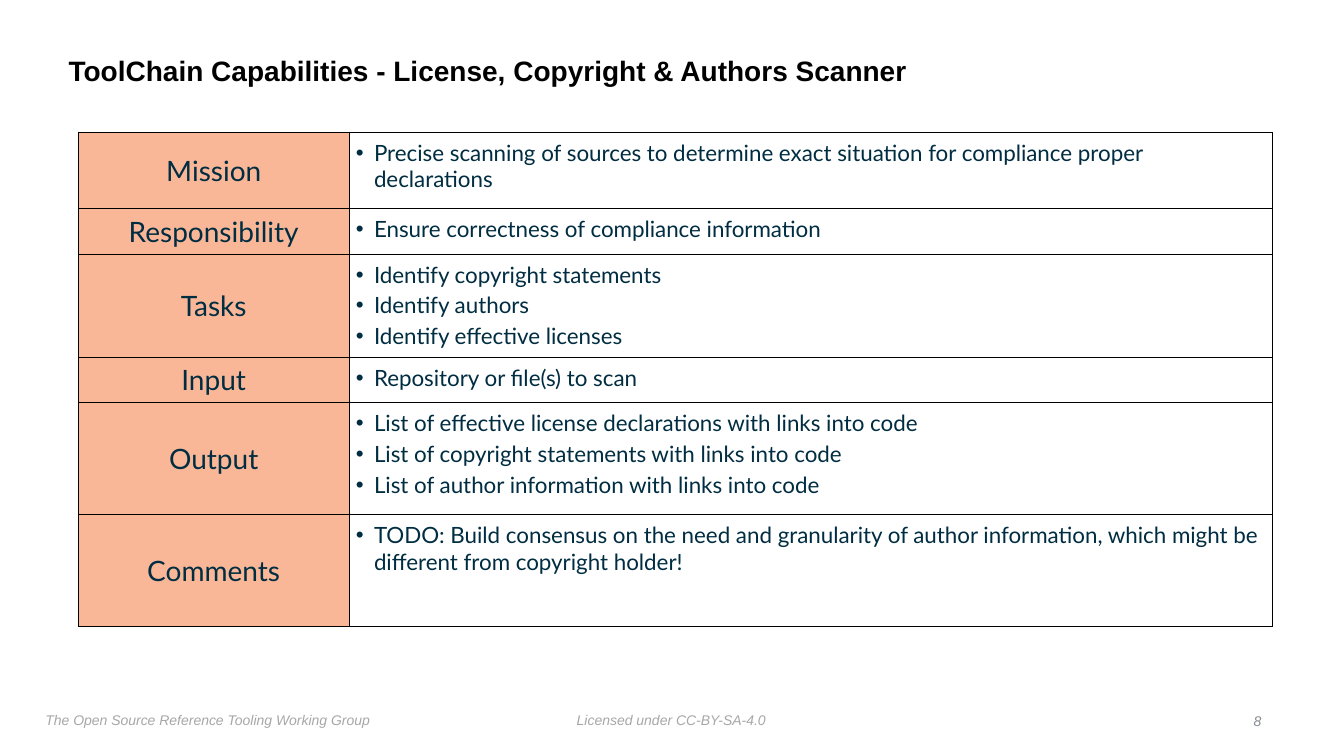
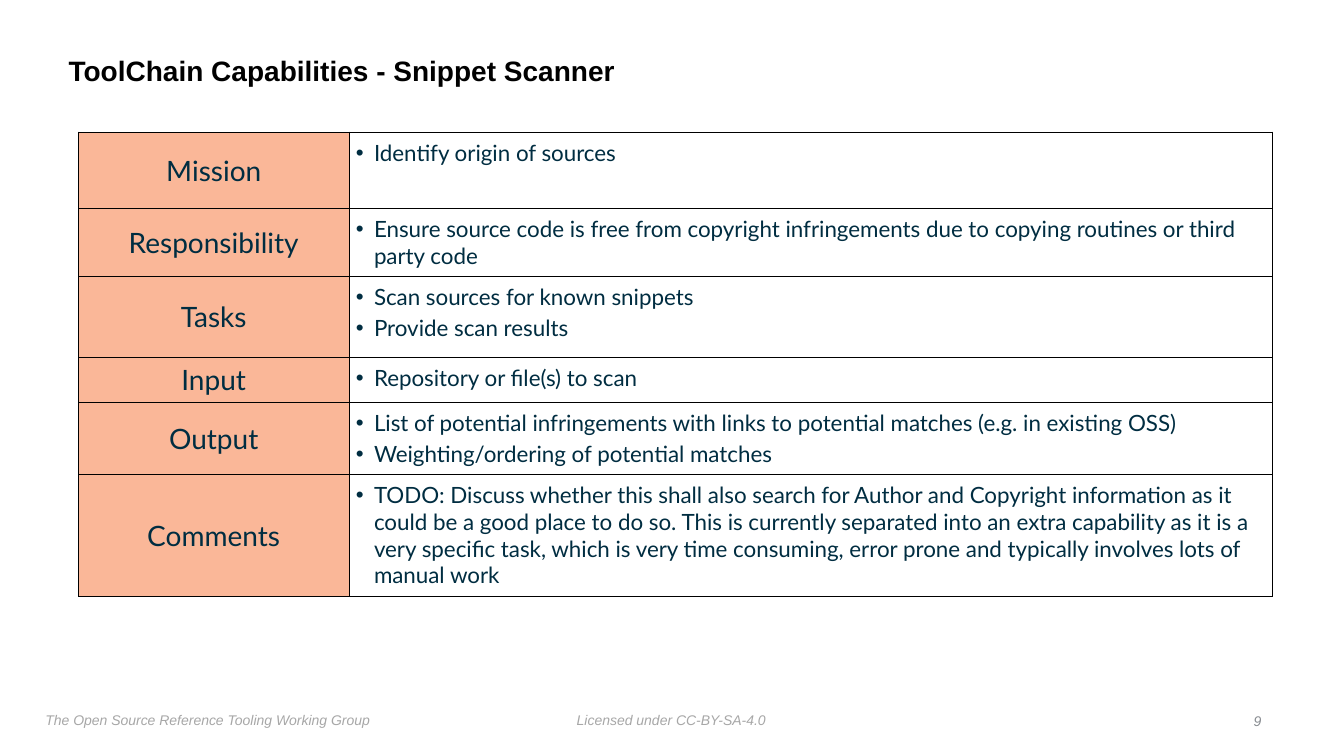
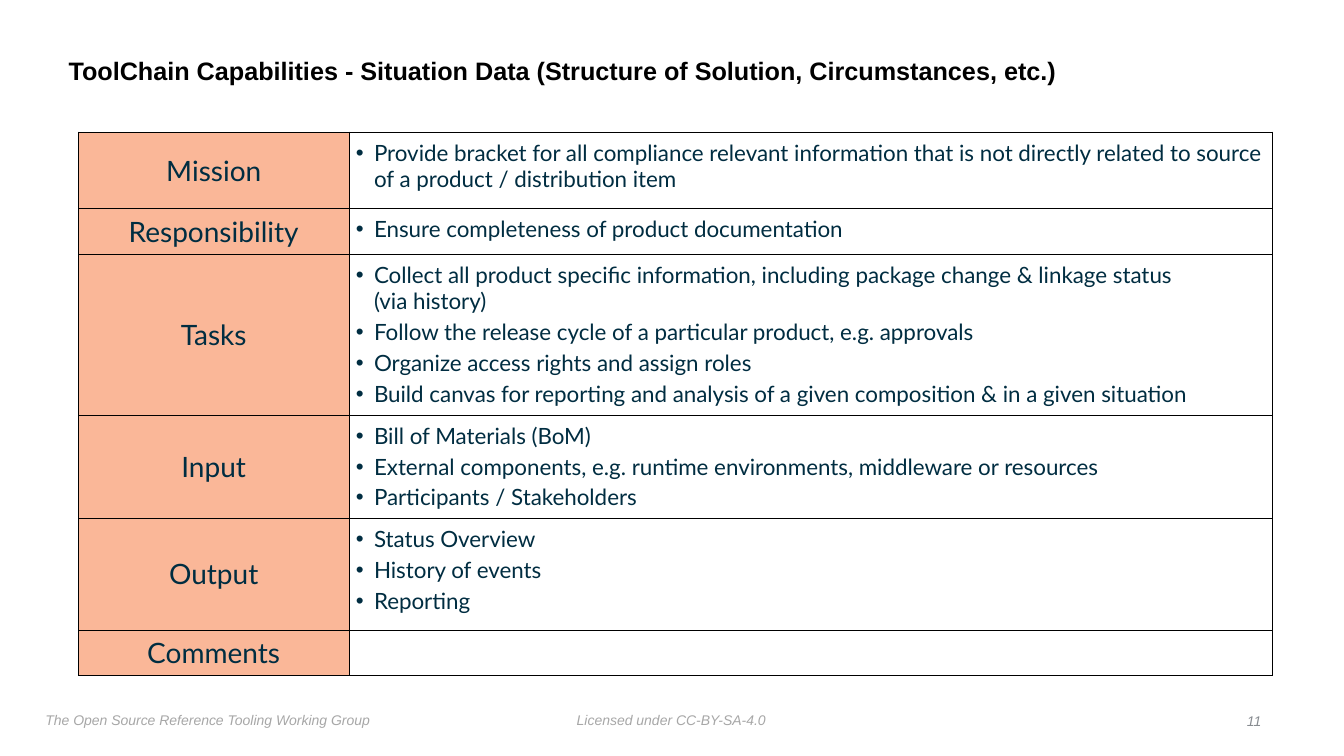
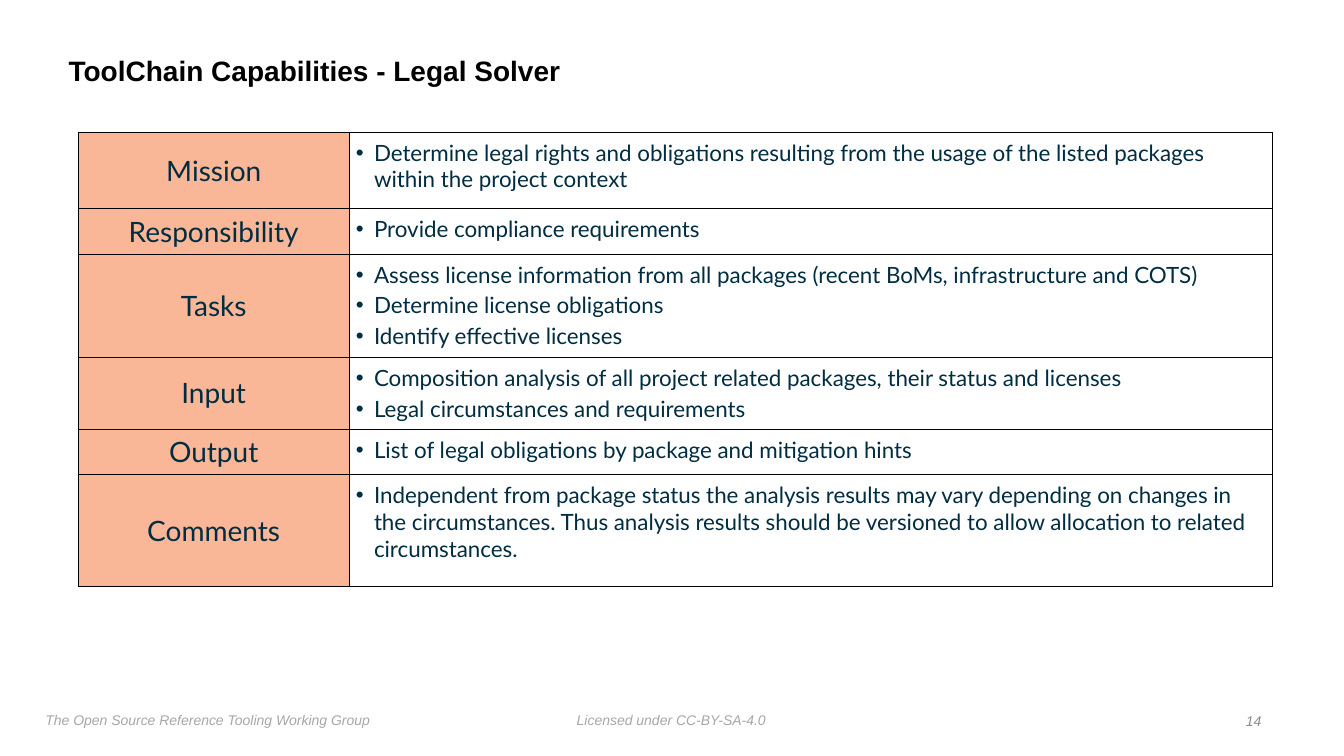
from lxml import etree
from pptx import Presentation
from pptx.dml.color import RGBColor
from pptx.enum.text import MSO_ANCHOR, PP_ALIGN
from pptx.oxml.ns import qn
from pptx.util import Inches, Pt

TOP, MIDDLE = MSO_ANCHOR.TOP, MSO_ANCHOR.MIDDLE
LEFT, CENTER, RIGHT = PP_ALIGN.LEFT, PP_ALIGN.CENTER, PP_ALIGN.RIGHT

HEADING_FONT, TABLE_FONT = "Arial", "Lato"
BLACK, INK, PEACH = "000000", "002D41", "FAB798"
FOOTER_GREY, NUMBER_GREY = "A7A7A7", "888C91"

TITLE_BOX = (0.63, 0.39, 10.75, 0.65)
GROUP_BOX = (0.4, 7.01, 3.34, 0.25)
LICENSE_BOX = (5.67, 7.01, 1.99, 0.25)
NUMBER_BOX = (12.06, 7.03, 0.5, 0.25)
TABLE_BOX = (0.78, 1.31, 11.84)
LABEL_WIDTH = 2.68
TEXT_SIZE = 16
LABELS = ["Mission", "Responsibility", "Tasks", "Input", "Output", "Comments"]

CAPABILITIES = [
    {
        "title": "License, Copyright & Authors Scanner",
        "number": 8,
        "heights": [0.76, 0.45, 1.02, 0.45, 1.11, 1.11],
        "entries": [
            ["Precise scanning of sources to determine exact situation for compliance proper declarations"],
            ["Ensure correctness of compliance information"],
            ["Identify copyright statements", "Identify authors", "Identify effective licenses"],
            ["Repository or file(s) to scan"],
            ["List of effective license declarations with links into code",
             "List of copyright statements with links into code",
             "List of author information with links into code"],
            ["TODO: Build consensus on the need and granularity of author information, "
             "which might be different from copyright holder!"],
        ],
    },
    {
        "title": "Snippet Scanner",
        "number": 9,
        "heights": [0.76, 0.67, 0.8, 0.45, 0.71, 1.2],
        "entries": [
            ["Identify origin of sources"],
            ["Ensure source code is free from copyright infringements due to copying routines "
             "or third party code"],
            ["Scan sources for known snippets", "Provide scan results"],
            ["Repository or file(s) to scan"],
            ["List of potential infringements with links to potential matches (e.g. in existing OSS)",
             "Weighting/ordering of potential matches"],
            ["TODO: Discuss whether this shall also search for Author and Copyright information "
             "as it could be a good place to do so. This is currently separated into an extra "
             "capability as it is a very specific task, which is very time consuming, error prone "
             "and typically involves lots of manual work"],
        ],
    },
    {
        "title": "Situation Data (Structure of Solution, Circumstances, etc.)",
        "title_size": 18,
        "number": 11,
        "heights": [0.76, 0.45, 1.59, 1.02, 1.11, 0.45],
        "entries": [
            ["Provide bracket for all compliance relevant information that is not directly "
             "related to source of a product / distribution item"],
            ["Ensure completeness of product documentation"],
            ["Collect all product specific information, including package change & linkage status\n"
             "(via history)",
             "Follow the release cycle of a particular product, e.g. approvals",
             "Organize access rights and assign roles",
             "Build canvas for reporting and analysis of a given composition & in a given situation"],
            ["Bill of Materials (BoM)",
             "External components, e.g. runtime environments, middleware or resources",
             "Participants / Stakeholders"],
            ["Status Overview", "History of events", "Reporting"],
            [],
        ],
    },
    {
        "title": "Legal Solver",
        "number": 14,
        "heights": [0.76, 0.45, 1.02, 0.71, 0.45, 1.11],
        "entries": [
            ["Determine legal rights and obligations resulting from the usage of the listed "
             "packages within the project context"],
            ["Provide compliance requirements"],
            ["Assess license information from all packages (recent BoMs, infrastructure and COTS)",
             "Determine license obligations", "Identify effective licenses"],
            ["Composition analysis of all project related packages, their status and licenses",
             "Legal circumstances and requirements"],
            ["List of legal obligations by package and mitigation hints"],
            ["Independent from package status the analysis results may vary depending on changes "
             "in the circumstances. Thus analysis results should be versioned to allow allocation "
             "to related circumstances."],
        ],
    },
]


def rgb(value):
    """Turn a hex string into a colour."""
    return RGBColor.from_string(value)


def format_runs(paragraph, font, size, color, bold=False, italic=False):
    """Give every run of a paragraph the same look."""
    for run in paragraph.runs:
        run.font.name = font
        run.font.size = Pt(size)
        run.font.color.rgb = rgb(color)
        run.font.bold = bold
        run.font.italic = italic


def set_margins(target, margin):
    """Set four equal inner margins on a text frame or cell."""
    target.margin_left = target.margin_right = Inches(margin)
    target.margin_top = target.margin_bottom = Inches(margin)


def add_line(slide, box, text, size, color, align=LEFT, anchor=TOP, wrap=True,
             bold=False, italic=False):
    """Add one line of heading-font text in a box and return its paragraph."""
    frame = slide.shapes.add_textbox(*map(Inches, box)).text_frame
    frame.word_wrap = wrap
    frame.vertical_anchor = anchor
    set_margins(frame, 0.05)
    frame.text = text
    paragraph = frame.paragraphs[0]
    paragraph.alignment = align
    format_runs(paragraph, HEADING_FONT, size, color, bold, italic)
    return paragraph


def add_title(slide, box, name, size):
    """Add the slide title."""
    title = add_line(slide, box, f"ToolChain Capabilities - {name}", size, BLACK,
                     anchor=MIDDLE, bold=True)
    title.line_spacing = 0.9


def add_footer(slide, number):
    """Add the group name, the license and the slide number."""
    add_line(slide, LICENSE_BOX, "Licensed under CC-BY-SA-4.0", 10, FOOTER_GREY,
             wrap=False, italic=True)
    add_line(slide, GROUP_BOX, "The Open Source Reference Tooling Working Group", 10,
             FOOTER_GREY, wrap=False, italic=True)
    add_line(slide, NUMBER_BOX, str(number), 10, NUMBER_GREY, align=RIGHT,
             anchor=MIDDLE, italic=True)


def add_borders(cell):
    """Draw a thin black line on all four sides of a cell."""
    properties = cell._tc.get_or_add_tcPr()
    for index, side in enumerate(("a:lnL", "a:lnR", "a:lnT", "a:lnB")):
        border = etree.Element(qn(side), w=str(Pt(0.5)))
        fill = etree.SubElement(border, qn("a:solidFill"))
        etree.SubElement(fill, qn("a:srgbClr"), val=BLACK)
        properties.insert(index, border)


def fill_label(cell, label):
    """Write a row label on its coloured cell."""
    cell.fill.solid()
    cell.fill.fore_color.rgb = rgb(PEACH)
    cell.vertical_anchor = MIDDLE
    set_margins(cell, 0)
    cell.text_frame.text = label
    paragraph = cell.text_frame.paragraphs[0]
    paragraph.alignment = CENTER
    format_runs(paragraph, TABLE_FONT, 20, INK)


def fill_entries(cell, entries):
    """Write the bulleted entries of a row."""
    cell.fill.background()
    set_margins(cell, 0.07)
    frame = cell.text_frame
    for index, entry in enumerate(entries):
        paragraph = frame.add_paragraph() if index else frame.paragraphs[0]
        paragraph.text = entry
        properties = paragraph._p.get_or_add_pPr()
        properties.set("marL", str(Inches(0.18)))
        properties.set("indent", str(-Inches(0.18)))
        etree.SubElement(properties, qn("a:buFont"), typeface=HEADING_FONT)
        etree.SubElement(properties, qn("a:buChar"), char="•")
        paragraph.space_before = Pt(3 if index else 0)
        format_runs(paragraph, TABLE_FONT, TEXT_SIZE, INK)
        for line_break in paragraph._p.findall(qn("a:br")):
            etree.SubElement(line_break, qn("a:rPr"), sz=str(TEXT_SIZE * 100))


def add_capability_table(slide, box, heights, rows):
    """Add the table of labels and entries."""
    left, top, width = box
    table = slide.shapes.add_table(len(LABELS), 2, Inches(left), Inches(top),
                                   Inches(width), Inches(sum(heights))).table
    table.first_row = table.horz_banding = False
    table.columns[0].width = Inches(LABEL_WIDTH)
    table.columns[1].width = Inches(width - LABEL_WIDTH)
    for index, (label, height, entries) in enumerate(zip(LABELS, heights, rows)):
        table.rows[index].height = Inches(height)
        fill_label(table.cell(index, 0), label)
        fill_entries(table.cell(index, 1), entries)
    for cell in table.iter_cells():
        add_borders(cell)


def main():
    """Build one slide for each capability and save the deck."""
    deck = Presentation()
    deck.slide_width, deck.slide_height = Inches(13.33), Inches(7.5)
    for capability in CAPABILITIES:
        slide = deck.slides.add_slide(deck.slide_layouts[6])
        add_footer(slide, capability["number"])
        add_title(slide, TITLE_BOX, capability["title"], capability.get("title_size", 20))
        add_capability_table(slide, TABLE_BOX, capability["heights"], capability["entries"])
    deck.save("out.pptx")


if __name__ == "__main__":
    main()
